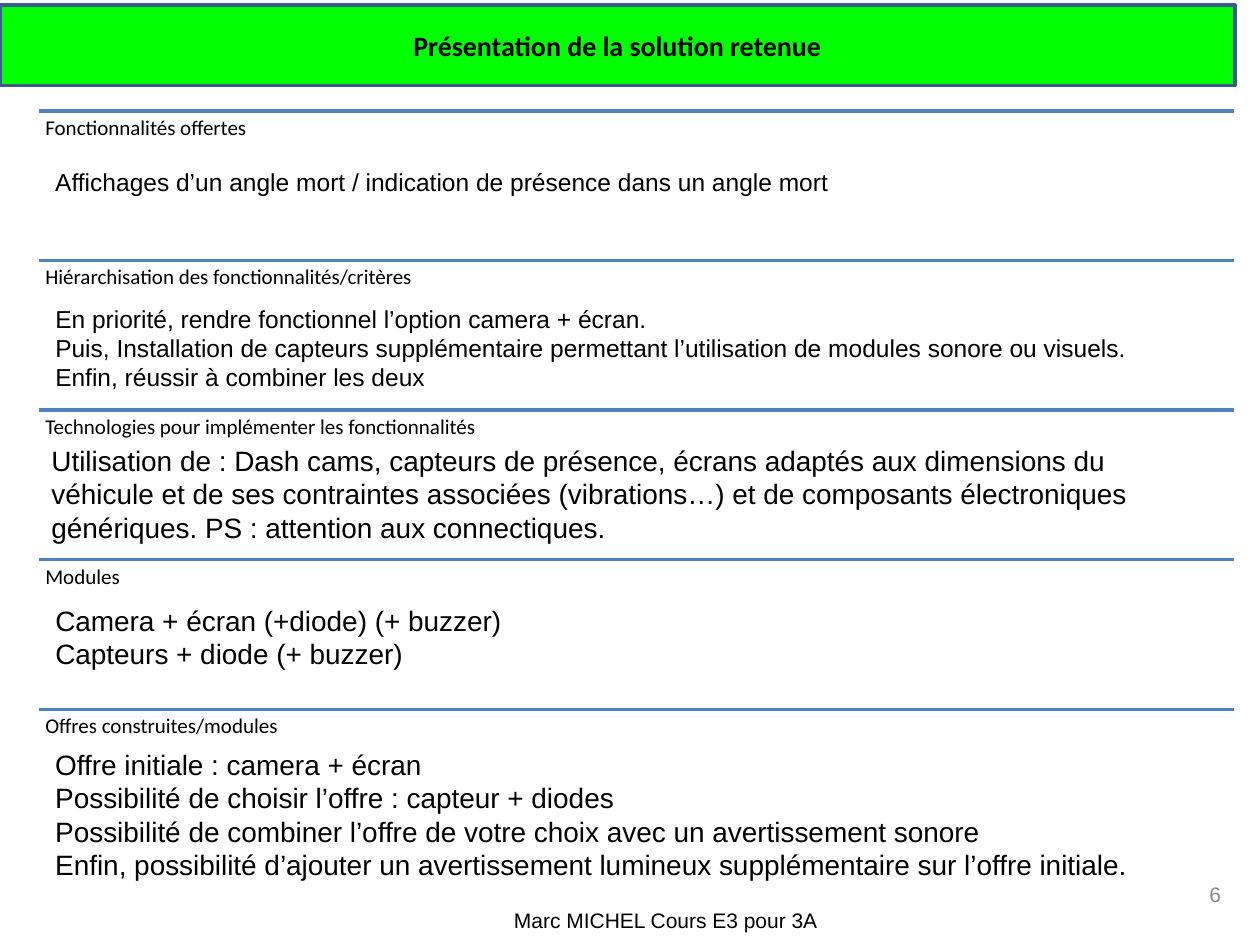
from lxml import etree
from pptx import Presentation
from pptx.dml.color import RGBColor
from pptx.enum.shapes import MSO_CONNECTOR
from pptx.enum.text import MSO_ANCHOR, MSO_AUTO_SIZE, PP_ALIGN
from pptx.oxml.ns import qn
from pptx.util import Inches, Pt

GREEN = RGBColor(0x00, 0xFF, 0x00)
BORDER_BLUE = RGBColor(0x38, 0x5D, 0x8A)
RULE_BLUE = RGBColor(0x4F, 0x81, 0xBD)
BLACK = RGBColor(0x00, 0x00, 0x00)
GREY = RGBColor(0x89, 0x89, 0x89)

SECTION_LEFT, SECTION_TOP = 0.31, 0.88
SECTION_WIDTH, SECTION_HEIGHT = 9.48, 1.1875

# Heading, body box (left, top, width, height), body size, wraps, body lines
SECTIONS = [
    ("Fonctionnalités offertes", (0.34, 1.28, 6.37, 0.34), 14, False,
     ["Affichages d’un angle mort / indication de présence dans un angle mort"]),
    ("Hiérarchisation des fonctionnalités/critères", (0.34, 2.36, 9.99, 0.81), 14, True,
     ["En priorité, rendre fonctionnel l’option camera + écran.",
      "Puis, Installation de capteurs supplémentaire permettant l’utilisation "
      "de modules sonore ou visuels.",
      "Enfin, réussir à combiner les deux"]),
    ("Technologies pour implémenter les fonctionnalités", (0.31, 3.47, 9.37, 0.91), 16, True,
     ["Utilisation de : Dash cams, capteurs de présence, écrans adaptés aux dimensions "
      "du véhicule et de ses contraintes associées (vibrations…) et de composants "
      "électroniques génériques. PS : attention aux connectiques."]),
    ("Modules", (0.34, 4.74, 3.79, 0.64), 16, False,
     ["Camera + écran (+diode) (+ buzzer)",
      "Capteurs + diode (+ buzzer)"]),
    ("Offres construites/modules", (0.34, 5.88, 8.97, 1.18), 16, True,
     ["Offre initiale : camera + écran",
      "Possibilité de choisir l’offre : capteur + diodes",
      "Possibilité de combiner l’offre de votre choix avec un avertissement sonore",
      "Enfin, possibilité d’ajouter un avertissement lumineux supplémentaire "
      "sur l’offre initiale."]),
]

prs = Presentation()
prs.slide_width, prs.slide_height = Inches(10), Inches(7.5)
slide = prs.slides.add_slide(prs.slide_layouts[5])


def add_text(box, lines, size, font="Arial", color=BLACK, align=PP_ALIGN.LEFT, wrap=True):
    frame = slide.shapes.add_textbox(*[Inches(length) for length in box]).text_frame
    frame.word_wrap = wrap
    frame.text = "\n".join(lines)
    for paragraph in frame.paragraphs:
        paragraph.alignment = align
        paragraph.font.size = Pt(size)
        paragraph.font.name = font
        paragraph.font.color.rgb = color
    return frame


# Title banner
title = slide.shapes.title
title.left, title.top = Inches(0), Inches(0.04)
title.width, title.height = Inches(9.8), Inches(0.64)
title.fill.solid()
title.fill.fore_color.rgb = GREEN
title.line.color.rgb = BORDER_BLUE
title.line.width = Pt(2)
title.text_frame.text = "Présentation de la solution retenue"
title.text_frame.vertical_anchor = MSO_ANCHOR.MIDDLE
heading = title.text_frame.paragraphs[0]
heading.alignment = PP_ALIGN.CENTER
heading.font.size = Pt(16)
heading.font.name = "Calibri"
heading.font.bold = True
heading.font.color.rgb = BLACK

# Sections: rule, heading and body
for index, (label, body_box, body_size, wraps, body_lines) in enumerate(SECTIONS):
    top = SECTION_TOP + index * SECTION_HEIGHT
    rule = slide.shapes.add_connector(
        MSO_CONNECTOR.STRAIGHT, Inches(SECTION_LEFT), Inches(top),
        Inches(SECTION_LEFT + SECTION_WIDTH), Inches(top))
    rule.line.color.rgb = RULE_BLUE
    rule.line.width = Pt(2)
    etree.SubElement(rule._element.spPr, qn("a:effectLst"))

    label_frame = add_text((SECTION_LEFT, top, SECTION_WIDTH, SECTION_HEIGHT),
                           [label], 12, font="Calibri")
    label_frame.margin_left = label_frame.margin_right = Inches(0.05)
    label_frame.margin_top = label_frame.margin_bottom = Inches(0.05)
    label_frame.paragraphs[0].line_spacing = 0.9

    body_frame = add_text(body_box, body_lines, body_size, wrap=wraps)
    body_frame.auto_size = MSO_AUTO_SIZE.SHAPE_TO_FIT_TEXT

# Page number and footer
add_text((7.46, 6.95, 2.33, 0.4), ["6"], 12, color=GREY, align=PP_ALIGN.RIGHT)
footer_frame = add_text((2.23, 7.15, 6.11, 0.3), ["Marc MICHEL Cours E3 pour 3A"], 12,
                        align=PP_ALIGN.CENTER)
footer_frame.auto_size = MSO_AUTO_SIZE.SHAPE_TO_FIT_TEXT

prs.save("out.pptx")
